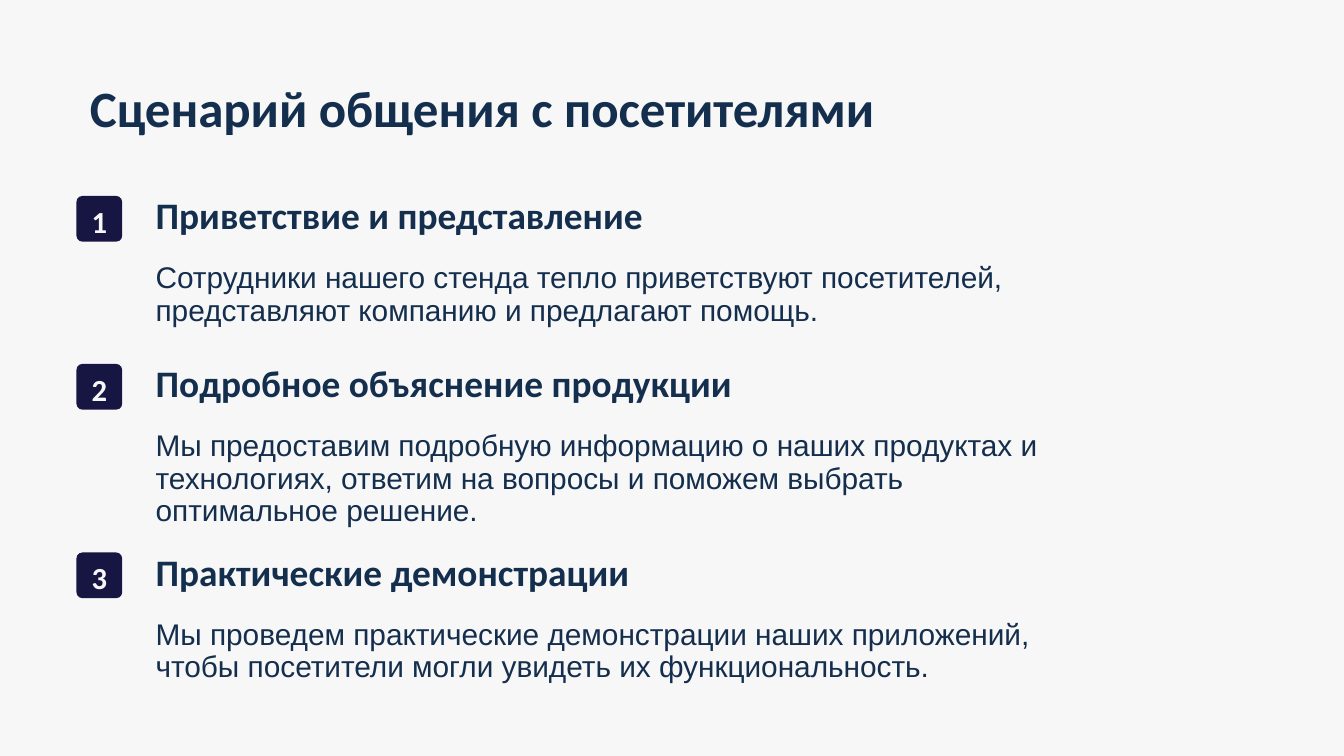
from pptx import Presentation
from pptx.dml.color import RGBColor
from pptx.enum.shapes import MSO_SHAPE as SHAPE
from pptx.enum.text import MSO_ANCHOR as ANCHOR, MSO_AUTO_SIZE as AUTO, PP_ALIGN as ALIGN
from pptx.util import Pt

NAVY = RGBColor(0x14, 0x2E, 0x4D)
BADGE = RGBColor(0x17, 0x15, 0x42)
PAPER = RGBColor(0xF8, 0xF7, 0xF7)

STEPS = [
    (105, "Приветствие и представление",
     "Сотрудники нашего стенда тепло приветствуют посетителей, "
     "представляют компанию и предлагают помощь."),
    (195, "Подробное объяснение продукции",
     "Мы предоставим подробную информацию о наших продуктах и технологиях, "
     "ответим на вопросы и поможем выбрать оптимальное решение."),
    (296, "Практические демонстрации",
     "Мы проведем практические демонстрации наших приложений, "
     "чтобы посетители могли увидеть их функциональность."),
]


def write(tf, text, size, leading, font="Calibri", color=NAVY, bold=True,
          align=ALIGN.LEFT, wrap=True):
    tf.word_wrap = wrap
    tf.auto_size = AUTO.NONE
    tf.vertical_anchor = ANCHOR.TOP
    p = tf.paragraphs[0]
    p.alignment = align
    p.line_spacing = Pt(leading)
    r = p.add_run()
    r.text = text
    r.font.name = font
    r.font.size = Pt(size)
    r.font.bold = bold
    r.font.color.rgb = color


class Deck:
    """Holds the presentation style and the current slide."""

    left = 41
    text_left = 76.3
    badge_size = 24.5

    def __init__(self):
        self.prs = Presentation()
        self.prs.slide_width, self.prs.slide_height = Pt(720), Pt(405)
        self.s = self.prs.slides.add_slide(self.prs.slide_layouts[5])
        fill = self.s.background.fill
        fill.solid()
        fill.fore_color.rgb = PAPER

    def title(self, text):
        sp = self.s.shapes.title
        sp.left, sp.top, sp.width, sp.height = Pt(self.left), Pt(36), Pt(458), Pt(68.5)
        write(sp.text_frame, text, 27.3, 34.2)

    def text(self, x, y, w, h, text, size, leading, **fmt):
        sp = self.s.shapes.add_textbox(Pt(x), Pt(y), Pt(w), Pt(h))
        write(sp.text_frame, text, size, leading, **fmt)

    def badge(self, y, number):
        side = Pt(self.badge_size)
        sp = self.s.shapes.add_shape(SHAPE.ROUNDED_RECTANGLE, Pt(self.left), Pt(y), side, side)
        sp.adjustments[0] = 0.13
        sp.shadow.inherit = False
        sp.fill.solid()
        sp.fill.fore_color.rgb = BADGE
        sp.line.fill.background()
        w = 10
        self.text(self.left + (self.badge_size - w) / 2, y - 0.7, w, 20.5, str(number),
                  16.4, 20.5, color=PAPER, align=ALIGN.CENTER, wrap=False)

    def step(self, y, number, heading, body):
        self.badge(y, number)
        self.text(self.text_left, y + 1.5, 331, 17.1, heading, 20, 17.1)
        self.text(self.text_left, y + 31.8, 510, 35, body, 16, 17.5, font="Arial", bold=False)


def main():
    deck = Deck()
    deck.title("Сценарий общения с посетителями")
    for number, (y, heading, body) in enumerate(STEPS, 1):
        deck.step(y, number, heading, body)
    deck.prs.save("out.pptx")


if __name__ == "__main__":
    main()
